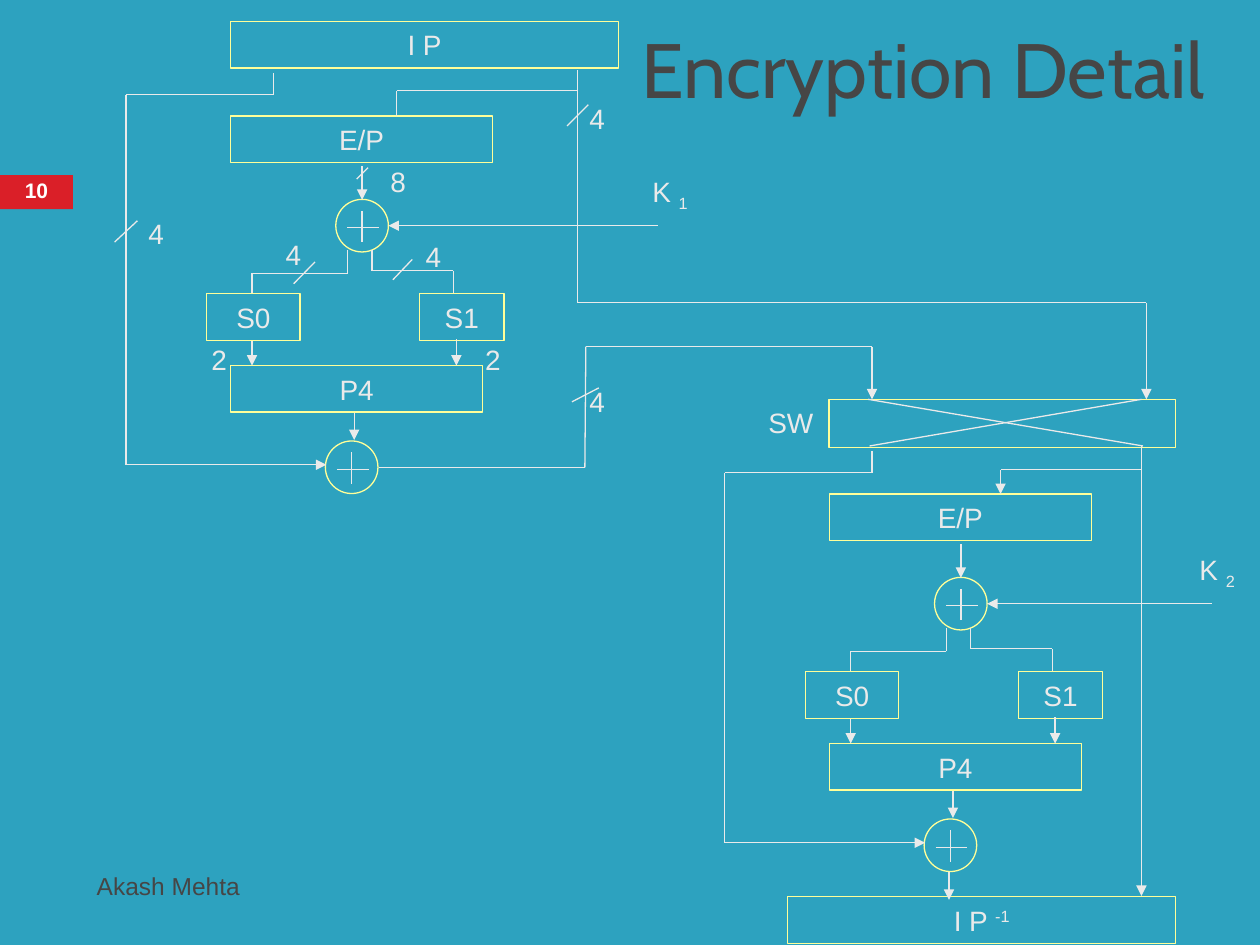
from dataclasses import dataclass
from itertools import pairwise

from lxml.etree import SubElement
from pptx import Presentation
from pptx.dml.color import RGBColor
from pptx.enum.shapes import MSO_CONNECTOR as Connector, MSO_SHAPE as Preset
from pptx.enum.text import MSO_ANCHOR as Anchor, PP_ALIGN as Align
from pptx.oxml.ns import qn
from pptx.shapes.base import BaseShape
from pptx.slide import Slide
from pptx.util import Cm, Pt

Point = tuple[float, float]


@dataclass(frozen=True)
class Theme:
    background: RGBColor = RGBColor.from_string("2DA2BF")
    outline: RGBColor = RGBColor.from_string("FFFF99")
    light: RGBColor = RGBColor.from_string("EAEAEA")
    dark: RGBColor = RGBColor.from_string("464646")
    badge: RGBColor = RGBColor.from_string("DA1F28")
    white: RGBColor = RGBColor.from_string("FFFFFF")
    body_font: str = "Arial"
    title_font: str = "Cabin"
    title_size: int = 44
    body_size: int = 16
    footer_size: int = 14
    number_size: int = 12
    line_width: float = 0.75


THEME = Theme()
BOX_HEIGHT = 0.94
CIRCLE_SIZE = 1.06


@dataclass(frozen=True)
class Box:
    left: float
    top: float
    width: float
    text: str = ""
    script: str = ""
    baseline: int = 0
    height: float = BOX_HEIGHT


@dataclass(frozen=True)
class Route:
    points: tuple[Point, ...]
    arrow: bool = False


@dataclass(frozen=True)
class Round:
    dx: float
    dy: float
    key_start: float


ROUNDS = (Round(0, 0, 13.26), Round(12.07, 7.62, 24.43))
ROUND_BOXES = (
    Box(4.65, 2.34, 5.28, "E/P"),
    Box(4.17, 5.92, 1.88, "S0"),
    Box(8.46, 5.92, 1.7, "S1"),
    Box(4.65, 7.37, 5.08, "P4"),
)
ROUND_CIRCLES = ((6.77, 4.02), (6.56, 8.89))
ROUND_ROUTES = (
    Route(((7.3, 3.35), (7.3, 4.03)), True),
    Route(((5.08, 5.9), (5.08, 5.51), (7.01, 5.51), (7.01, 5.03))),
    Route(((9.14, 5.9), (9.14, 5.46), (7.5, 5.46), (7.5, 5.03))),
    Route(((5.08, 6.88), (5.08, 7.37)), True),
    Route(((9.2, 6.84), (9.2, 7.37)), True),
    Route(((7.14, 8.33), (7.14, 8.87)), True),
    Route(((5.51, 1.47), (5.51, 1.91), (2.54, 1.91), (2.54, 9.37), (6.58, 9.37)), True),
)
OUTER_BOXES = (
    Box(4.65, 0.43, 7.82, "I P"),
    Box(16.71, 8.05, 6.99, height=0.97),
    Box(15.88, 18.08, 7.82, "I P ", "-1", 30000),
)
OUTER_ROUTES = (
    Route(((11.64, 1.42), (11.64, 6.1), (23.11, 6.1), (23.11, 8.05)), True),
    Route(((7.65, 9.42), (11.79, 9.42), (11.81, 6.99), (17.58, 6.99), (17.58, 8.05)), True),
    Route(((17.5, 8.05), (23.04, 8.99))),
    Route(((23.01, 8.05), (17.53, 8.99))),
    Route(((23.01, 8.97), (23.01, 18.06)), True),
    Route(((19.13, 17.58), (19.13, 18.14)), True),
    Route(((11.64, 1.83), (8, 1.83), (8, 2.34))),
    Route(((23.01, 9.47), (20.17, 9.47), (20.17, 9.96)), True),
)
BIT_TICKS = (
    Route(((11.86, 2.11), (11.43, 2.54))),
    Route(((2.77, 4.45), (2.31, 4.88))),
    Route(((7.42, 3.38), (7.19, 3.61))),
    Route(((6.35, 5.28), (5.92, 5.72))),
    Route(((8.31, 5.23), (7.92, 5.64))),
    Route(((12.07, 7.82), (11.53, 8.1))),
)
LABELS = (
    Box(15.24, 8.05, 1.7, "SW"),
    Box(12.9, 3.38, 1.47, "K ", "1", -25000, 1.04),
    Box(23.93, 11, 1.47, "K ", "2", -25000, 1.04),
    Box(2.74, 4.24, 0.84, "4"),
    Box(11.63, 1.91, 0.84, "4"),
    Box(7.62, 3.18, 0.84, "8"),
    Box(5.51, 4.65, 0.84, "4"),
    Box(8.33, 4.7, 0.84, "4"),
    Box(4.01, 6.78, 0.84, "2"),
    Box(9.53, 6.78, 0.84, "2"),
    Box(11.63, 7.62, 0.84, "4"),
)


def write_text(shape: BaseShape, box: Box, align: Align, color: RGBColor = THEME.light,
               size: int = THEME.body_size, font: str = THEME.body_font,
               bold: bool = False) -> None:
    frame = shape.text_frame
    frame.text = box.text
    frame.word_wrap = True
    frame.vertical_anchor = Anchor.MIDDLE
    paragraph = frame.paragraphs[0]
    paragraph.alignment = align
    if box.script:
        script = paragraph.add_run()
        script.text = box.script
        script._r.get_or_add_rPr().set("baseline", str(box.baseline))
    for run in paragraph.runs:
        run.font.name = font
        run.font.size = Pt(size)
        run.font.bold = bold
        run.font.color.rgb = color


def add_label(slide: Slide, box: Box, align: Align = Align.LEFT, **style) -> None:
    shape = slide.shapes.add_textbox(Cm(box.left), Cm(box.top), Cm(box.width), Cm(box.height))
    write_text(shape, box, align, **style)


def add_outline(slide: Slide, preset: Preset, box: Box, dx: float = 0, dy: float = 0) -> None:
    shape = slide.shapes.add_shape(preset, Cm(box.left + dx), Cm(box.top + dy),
                                   Cm(box.width), Cm(box.height))
    shape.shadow.inherit = False
    shape.fill.background()
    shape.line.color.rgb = THEME.outline
    shape.line.width = Pt(THEME.line_width)
    if box.text:
        write_text(shape, box, Align.CENTER)


def add_route(slide: Slide, route: Route, dx: float = 0, dy: float = 0) -> None:
    for (x1, y1), (x2, y2) in pairwise(route.points):
        connector = slide.shapes.add_connector(
            Connector.STRAIGHT, Cm(x1 + dx), Cm(y1 + dy), Cm(x2 + dx), Cm(y2 + dy))
        connector.line.color.rgb = THEME.light
        connector.line.width = Pt(THEME.line_width)
        SubElement(connector._element.spPr, qn("a:effectLst"))
    if route.arrow:
        SubElement(connector.line._get_or_add_ln(), qn("a:tailEnd"), type="triangle")


def add_xor(slide: Slide, left: float, top: float) -> None:
    add_outline(slide, Preset.OVAL, Box(left, top, CIRCLE_SIZE, height=CIRCLE_SIZE))
    add_route(slide, Route(((0.53, 0.23), (0.53, 0.86))), left, top)
    add_route(slide, Route(((0.23, 0.57), (0.87, 0.57))), left, top)


def add_round(slide: Slide, cipher_round: Round) -> None:
    dx, dy = cipher_round.dx, cipher_round.dy
    for box in ROUND_BOXES:
        add_outline(slide, Preset.RECTANGLE, box, dx, dy)
    for left, top in ROUND_CIRCLES:
        add_xor(slide, left + dx, top + dy)
    for route in ROUND_ROUTES:
        add_route(slide, route, dx, dy)
    key_y = 4.55 + dy
    add_route(slide, Route(((cipher_round.key_start, key_y), (7.83 + dx, key_y)), True))


def add_page_number(slide: Slide, box: Box) -> None:
    shape = slide.shapes.add_shape(Preset.RECTANGLE, Cm(box.left), Cm(box.top),
                                   Cm(box.width), Cm(box.height))
    shape.shadow.inherit = False
    shape.fill.solid()
    shape.fill.fore_color.rgb = THEME.badge
    shape.line.fill.background()
    write_text(shape, box, Align.CENTER, THEME.white, THEME.number_size, bold=True)
    shape.text_frame.paragraphs[0].line_spacing = 0.8


def main() -> None:
    presentation = Presentation()
    presentation.slide_width, presentation.slide_height = Cm(25.4), Cm(19.05)
    slide = presentation.slides.add_slide(presentation.slide_layouts[6])
    slide.background.fill.solid()
    slide.background.fill.fore_color.rgb = THEME.background
    add_label(slide, Box(12.27, 0.3, 12.27, "Encryption Detail", height=2.13), Align.RIGHT,
              color=THEME.dark, size=THEME.title_size, font=THEME.title_font)
    for cipher_round in ROUNDS:
        add_round(slide, cipher_round)
    for box in OUTER_BOXES:
        add_outline(slide, Preset.RECTANGLE, box)
    for route in OUTER_ROUTES + BIT_TICKS:
        add_route(slide, route)
    for label in LABELS:
        add_label(slide, label)
    add_page_number(slide, Box(0, 3.53, 1.47, "10", height=0.69))
    add_label(slide, Box(1.7, 17.35, 15.06, "Akash Mehta", height=1.02),
              color=THEME.dark, size=THEME.footer_size)
    presentation.save("out.pptx")


if __name__ == "__main__":
    main()
